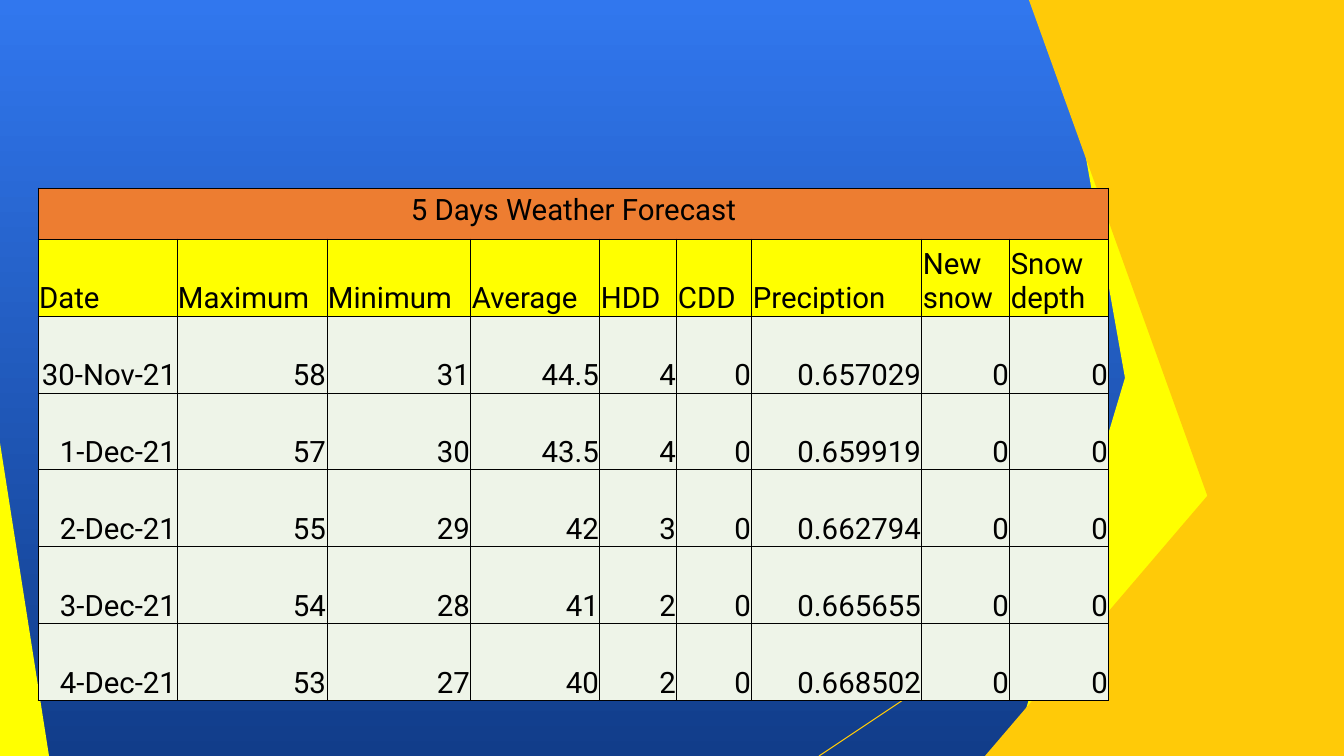
import lxml.etree
import pptx
import pptx.dml.color
import pptx.enum.shapes
import pptx.enum.text
import pptx.oxml.ns
import pptx.util

RGBColor = pptx.dml.color.RGBColor
SHAPE = pptx.enum.shapes.MSO_SHAPE
ALIGN = pptx.enum.text.PP_ALIGN
ANCHOR = pptx.enum.text.MSO_ANCHOR
qn = pptx.oxml.ns.qn

SKY = RGBColor(0x31, 0x77, 0xEE)
NAVY = RGBColor(0x11, 0x3D, 0x8A)
YELLOW = RGBColor(0xFF, 0xFF, 0x00)
AMBER = RGBColor(0xFF, 0xCA, 0x08)
ORANGE = RGBColor(0xED, 0x7D, 0x31)
PALE = RGBColor(0xEE, 0xF4, 0xE8)
BLACK = RGBColor(0x00, 0x00, 0x00)

WIDTH, HEIGHT = 1344, 756
EMU_PER_PX = 914400 / 100.8

TITLE = "5 Days Weather Forecast"
HEADINGS = ["Date", "Maximum", "Minimum", "Average", "HDD", "CDD",
            "Preciption", "New snow", "Snow depth"]
FORECAST = [
    ["30-Nov-21", "58", "31", "44.5", "4", "0", "0.657029", "0", "0"],
    ["1-Dec-21", "57", "30", "43.5", "4", "0", "0.659919", "0", "0"],
    ["2-Dec-21", "55", "29", "42", "3", "0", "0.662794", "0", "0"],
    ["3-Dec-21", "54", "28", "41", "2", "0", "0.665655", "0", "0"],
    ["4-Dec-21", "53", "27", "40", "2", "0", "0.668502", "0", "0"],
]
COLUMN_WIDTHS = [139, 150, 144, 129, 77, 75, 170, 88, 99]
ROW_HEIGHTS = [51] + [77] * 6


def px(length):
    return pptx.util.Emu(round(length * EMU_PER_PX))


class Painter:
    font = "Roboto"
    size = pptx.util.Pt(21)
    line_width = pptx.util.Pt(0.75)

    def __init__(self, page):
        self.page = page

    def gradient(self, fill):
        fill.gradient()
        fill.gradient_angle = 270
        for stop, color in zip(fill.gradient_stops, (SKY, NAVY)):
            stop.color.rgb = color

    def shape(self, kind, left, top, width, height):
        shape = self.page.shapes.add_shape(kind, px(left), px(top), px(width), px(height))
        shape.shadow.inherit = False
        shape.line.fill.background()
        return shape

    def backdrop(self):
        self.gradient(self.page.background.fill)
        self.gradient(self.shape(SHAPE.RECTANGLE, 0, 0, WIDTH, HEIGHT).fill)

    def triangle(self, left, top, width, apex, color):
        shape = self.shape(SHAPE.ISOSCELES_TRIANGLE, left, top, width, HEIGHT - top)
        shape.adjustments[0] = apex
        shape.fill.solid()
        shape.fill.fore_color.rgb = color

    def right_band(self, top_x, bottom_x, color):
        builder = self.page.shapes.build_freeform(top_x, 0, scale=EMU_PER_PX)
        builder.add_line_segments([(WIDTH, 0), (WIDTH, HEIGHT), (bottom_x, HEIGHT)], close=True)
        shape = builder.convert_to_shape()
        shape.shadow.inherit = False
        shape.line.fill.background()
        shape.fill.solid()
        shape.fill.fore_color.rgb = color

    def line(self, x1, y1, x2, y2, color):
        connector = self.page.shapes.add_connector(
            pptx.enum.shapes.MSO_CONNECTOR.STRAIGHT, px(x1), px(y1), px(x2), px(y2))
        connector.line.color.rgb = color
        connector.line.width = self.line_width
        lxml.etree.SubElement(connector._element.spPr, qn("a:effectLst"))

    def cell_borders(self, cell):
        properties = cell._tc.get_or_add_tcPr()
        for side in ("a:lnL", "a:lnR", "a:lnT", "a:lnB"):
            border = lxml.etree.SubElement(properties, qn(side), w=str(self.line_width))
            solid = lxml.etree.SubElement(border, qn("a:solidFill"))
            lxml.etree.SubElement(solid, qn("a:srgbClr"), val=str(BLACK))

    def cell(self, cell, text, fill, align, anchor, margins):
        self.cell_borders(cell)
        cell.fill.solid()
        cell.fill.fore_color.rgb = fill
        cell.vertical_anchor = anchor
        cell.margin_left, cell.margin_top, cell.margin_right, cell.margin_bottom = map(px, margins)
        cell.text = text
        para = cell.text_frame.paragraphs[0]
        para.alignment = align
        para.font.name = self.font
        para.font.size = self.size
        para.font.color.rgb = BLACK

    def table(self, left, top):
        rows = [[TITLE] + [""] * (len(HEADINGS) - 1), HEADINGS] + FORECAST
        table = self.page.shapes.add_table(
            len(rows), len(HEADINGS), px(left), px(top),
            px(sum(COLUMN_WIDTHS)), px(sum(ROW_HEIGHTS))).table
        table.first_row = False
        table.horz_banding = False
        for column, width in zip(table.columns, COLUMN_WIDTHS):
            column.width = px(width)
        for row, height in zip(table.rows, ROW_HEIGHTS):
            row.height = px(height)

        tight = (1, 1, 1, 0)
        title_style = (ORANGE, ALIGN.CENTER, ANCHOR.TOP, (11, 5, 11, 5))
        heading_style = (YELLOW, ALIGN.LEFT, ANCHOR.BOTTOM, tight)
        value_style = (PALE, ALIGN.RIGHT, ANCHOR.BOTTOM, tight)
        styles = [title_style, heading_style] + [value_style] * len(FORECAST)
        for r, (texts, style) in enumerate(zip(rows, styles)):
            for c, text in enumerate(texts):
                self.cell(table.cell(r, c), text, *style)
        table.cell(0, 0).merge(table.cell(0, len(HEADINGS) - 1))


def main():
    deck = pptx.Presentation()
    deck.slide_width, deck.slide_height = px(WIDTH), px(HEIGHT)
    painter = Painter(deck.slides.add_slide(deck.slide_layouts[6]))

    painter.backdrop()
    painter.line(1344, 406, 819, 756, AMBER)
    painter.right_band(1238, 1012, YELLOW)
    painter.right_band(1058, 1192, YELLOW)
    painter.triangle(985, 336, 359, 1, AMBER)
    for top_x, bottom_x in [(1029, 1301), (1313, 1202), (1206, 1329)]:
        painter.right_band(top_x, bottom_x, AMBER)
    painter.triangle(1143, 396, 201, 1, AMBER)
    painter.triangle(0, 443, 49, 0, YELLOW)
    painter.table(38, 188)

    deck.save("out.pptx")


if __name__ == "__main__":
    main()
